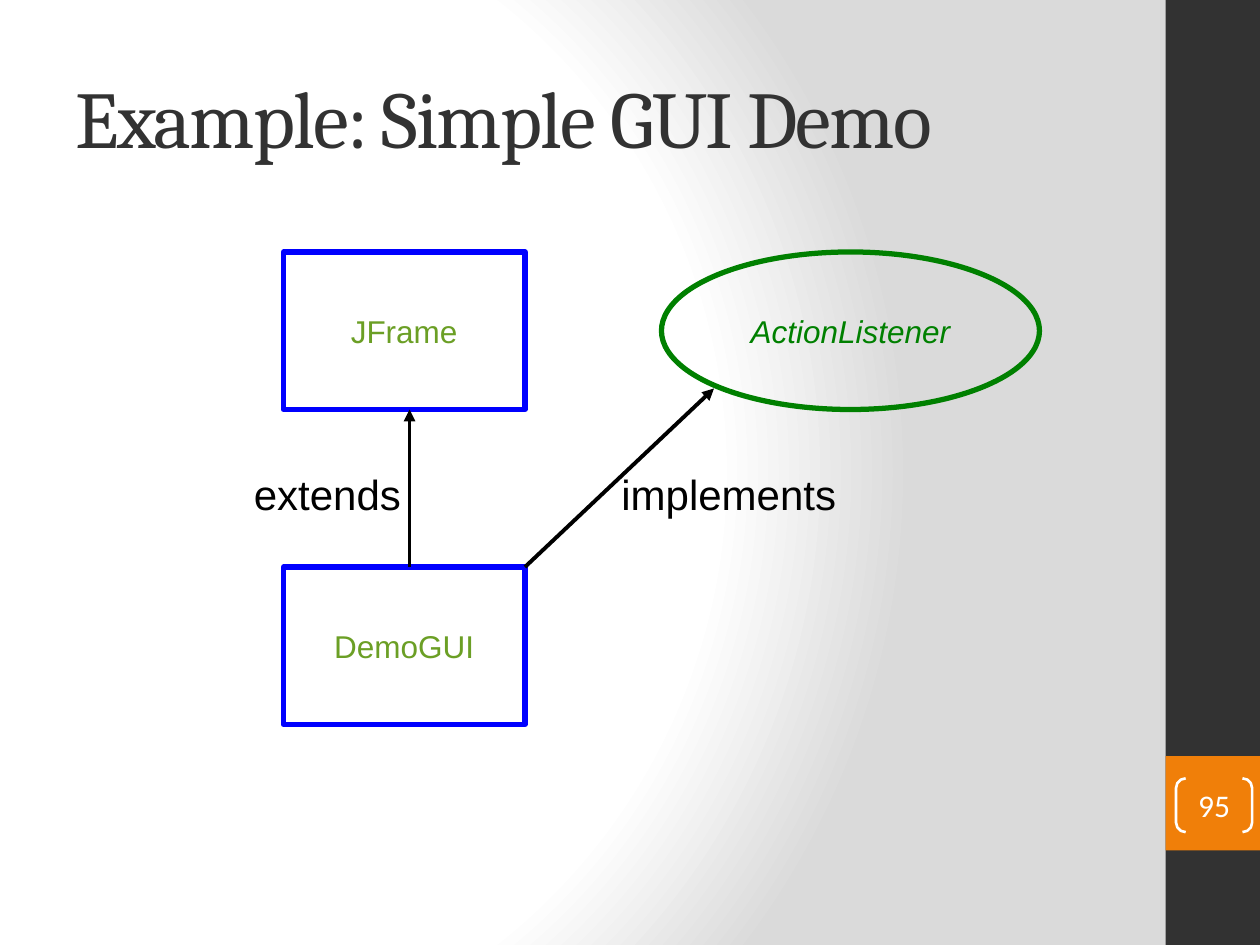
from dataclasses import dataclass

from lxml.etree import SubElement
from pptx import Presentation
from pptx.dml.color import RGBColor
from pptx.enum.shapes import MSO_CONNECTOR as Link, MSO_SHAPE as Shape
from pptx.enum.text import MSO_ANCHOR as Anchor, MSO_AUTO_SIZE as Fit, PP_ALIGN as Align
from pptx.oxml.ns import qn
from pptx.util import Pt

PX = 9525  # EMU in one px, 96 px to the inch
PAGE_W, PAGE_H = 960, 720


@dataclass(frozen=True)
class Theme:
    dark: str = "323232"
    orange: str = "F07F09"
    white: str = "FFFFFF"
    black: str = "000000"
    class_line: str = "0000FF"
    class_text: str = "6B9F25"
    interface: str = "008000"
    gradient: tuple = ((0, "FFFFFF"), (75, "FFFFFF"), (100, "DADADA"))
    title_font: str = "Cambria"
    body_font: str = "Arial"
    number_font: str = "Calibri"
    title_size: int = 46
    label_size: int = 24
    node_size: int = 18
    node_line: float = 3
    arrow_line: float = 2.25
    bracket_line: float = 1.5


THEME = Theme()


def emu(*lengths):
    return [length * PX for length in lengths]


def rgb(color):
    return RGBColor.from_string(color)


def write(shape, text, font, size, color, align=Align.CENTER, italic=None,
          anchor=Anchor.MIDDLE, wrap=False):
    frame = shape.text_frame
    frame.text = text
    frame.word_wrap = wrap
    frame.vertical_anchor = anchor
    para = frame.paragraphs[0]
    para.alignment = align
    para.font.name = font
    para.font.size = Pt(size)
    para.font.italic = italic
    para.font.color.rgb = rgb(color)
    return frame


def add_shape(page, kind, box, fill=None, line=None, width=0):
    shape = page.shapes.add_shape(kind, *emu(*box))
    shape.shadow.inherit = False
    if fill:
        shape.fill.solid()
        shape.fill.fore_color.rgb = rgb(fill)
    else:
        shape.fill.background()
    if line:
        shape.line.color.rgb = rgb(line)
        shape.line.width = Pt(width)
    else:
        shape.line.fill.background()
    return shape


def paint_background(page):
    page.background.fill.gradient()
    gradient = page.element.find(".//" + qn("a:gradFill"))
    for child in list(gradient):
        gradient.remove(child)
    stops = SubElement(gradient, qn("a:gsLst"))
    for percent, color in THEME.gradient:
        stop = SubElement(stops, qn("a:gs"), pos=str(percent * 1000))
        SubElement(stop, qn("a:srgbClr"), val=color)
    # Circular glow centred towards the left
    circle = SubElement(gradient, qn("a:path"), path="circle")
    SubElement(circle, qn("a:fillToRect"), l="20000", t="50000", r="100000", b="50000")


def add_sidebar(page, box, number):
    left, top, width, height = box
    add_shape(page, Shape.RECTANGLE, box, THEME.dark)
    # Square tab with the bracketed page number
    tab_top = top + height - 2 * width
    add_shape(page, Shape.RECTANGLE, (left, tab_top, width, width), THEME.orange)
    bracket = add_shape(page, Shape.DOUBLE_BRACKET, (left + 8, tab_top + 17, width - 14, 41),
                        line=THEME.white, width=THEME.bracket_line)
    bracket.adjustments[0] = 0.18
    frame = write(bracket, number, THEME.number_font, THEME.node_size, THEME.white, wrap=True)
    frame.margin_left = frame.margin_top = frame.margin_right = frame.margin_bottom = 0


def add_title(page, box, text):
    title = page.shapes.title
    title.left, title.top, title.width, title.height = emu(*box)
    frame = write(title, text, THEME.title_font, THEME.title_size, THEME.dark,
                  Align.LEFT, wrap=True)
    frame.auto_size = Fit.NONE
    frame.paragraphs[0].runs[0].font._element.set("spc", "-100")


def add_node(page, kind, box, text, line, color, italic=None):
    node = add_shape(page, kind, box, line=line, width=THEME.node_line)
    write(node, text, THEME.body_font, THEME.node_size, color, italic=italic)


def add_arrow(page, start, end):
    arrow = page.shapes.add_connector(Link.STRAIGHT, *emu(*start, *end))
    arrow.line.color.rgb = rgb(THEME.black)
    arrow.line.width = Pt(THEME.arrow_line)
    SubElement(arrow.line._get_or_add_ln(), qn("a:tailEnd"), type="triangle")
    SubElement(arrow._element.spPr, qn("a:effectLst"))


def add_label(page, box, text):
    label = page.shapes.add_textbox(*emu(*box))
    frame = write(label, text, THEME.body_font, THEME.label_size, THEME.black,
                  Align.LEFT, anchor=Anchor.TOP)
    frame.auto_size = Fit.SHAPE_TO_FIT_TEXT


def add_diagram(page, box):
    left, top, width, height = box
    node_w, node_h, oval_w = 184, 120, 288
    child_top = top + height - node_h
    oval_left = left + width - oval_w
    stem = left + 96

    # Interface
    add_node(page, Shape.OVAL, (oval_left, top, oval_w, node_h), "ActionListener",
             THEME.interface, THEME.interface, italic=True)
    # Parent class above, child class below
    for name, node_top in (("JFrame", top), ("DemoGUI", child_top)):
        add_node(page, Shape.RECTANGLE, (left, node_top, node_w, node_h), name,
                 THEME.class_line, THEME.class_text)
    # Relations and their names
    add_arrow(page, (stem, child_top), (stem, top + node_h))
    add_arrow(page, (left + node_w, child_top), (oval_left + 40, top + 104))
    add_label(page, (left - 32, top + 160, 132, 48), "extends")
    add_label(page, (left + 248, top + 160, 184, 48), "implements")


def main():
    deck = Presentation()
    deck.slide_width, deck.slide_height = emu(PAGE_W, PAGE_H)
    page = deck.slides.add_slide(deck.slide_layouts[5])
    paint_background(page)
    add_sidebar(page, (888, 0, 72, PAGE_H), "95")
    add_title(page, (48, 29, 800, 120), "Example: Simple GUI Demo")
    add_diagram(page, (216, 192, 576, 360))
    deck.save("out.pptx")


if __name__ == "__main__":
    main()
